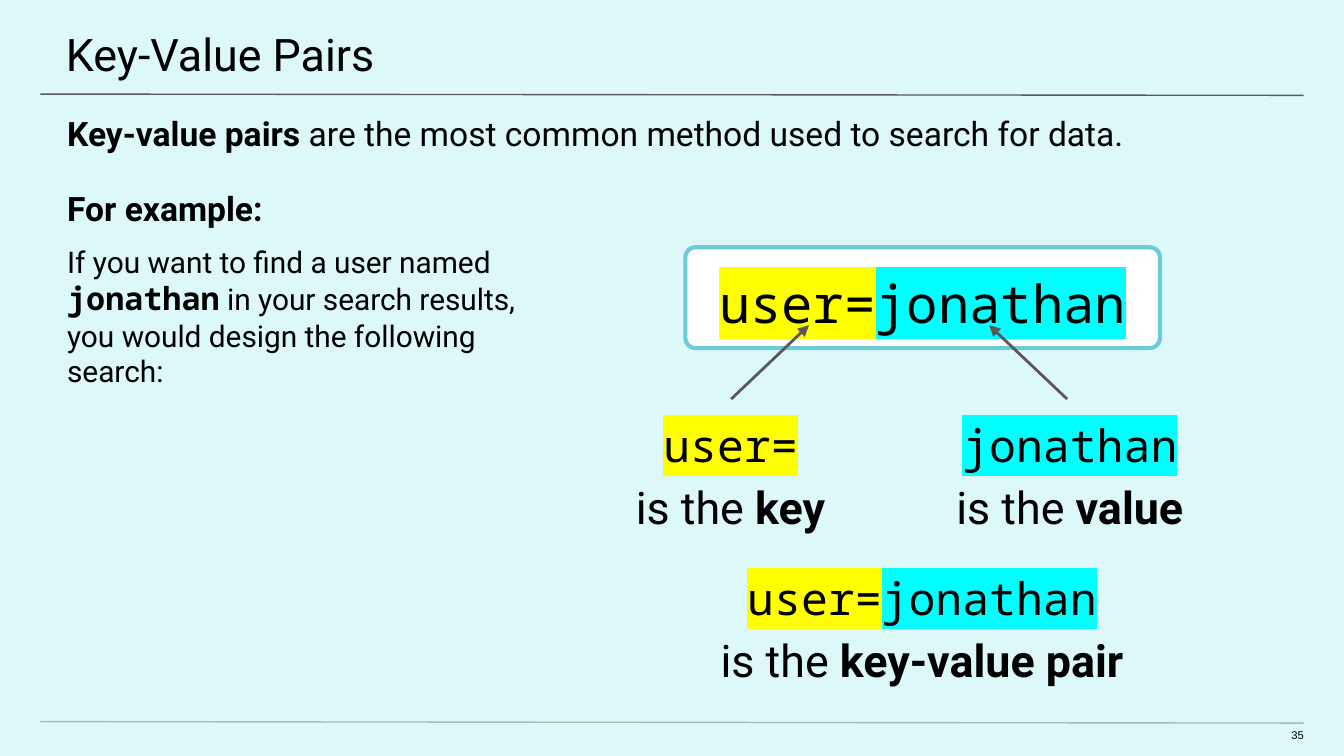
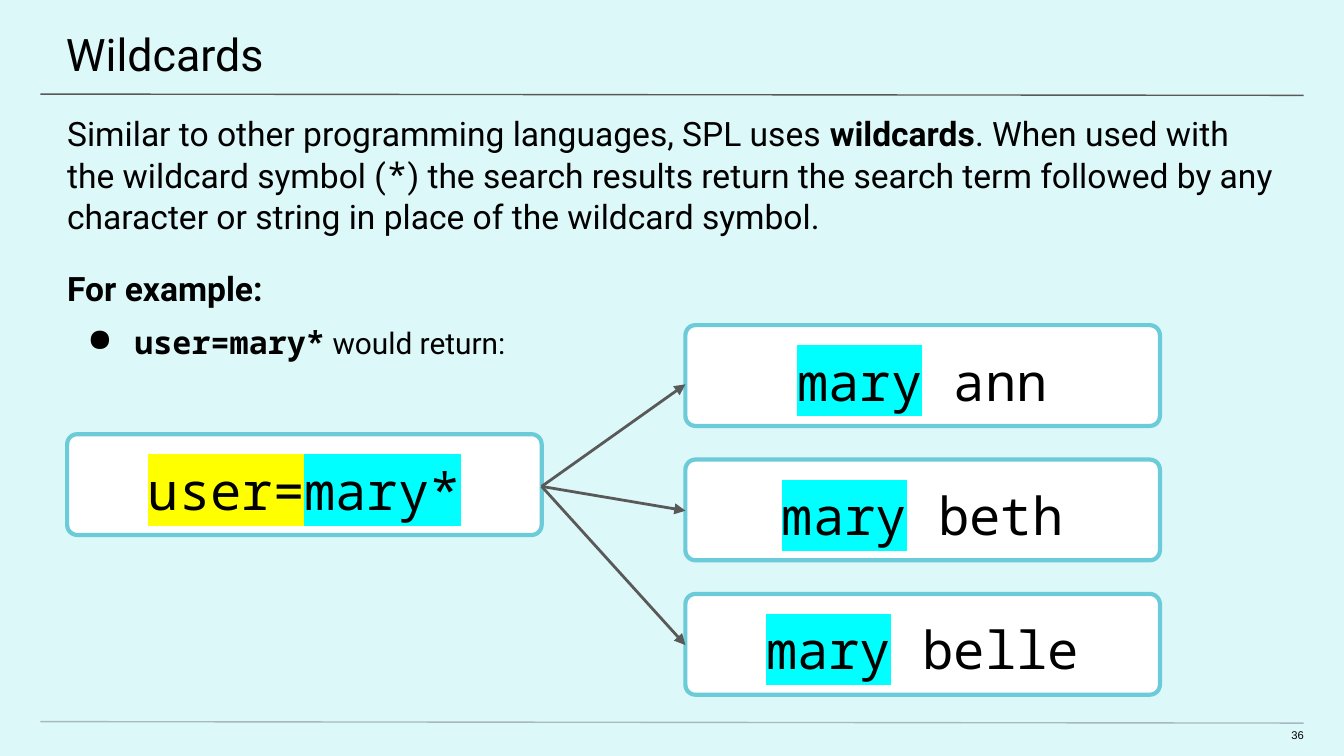
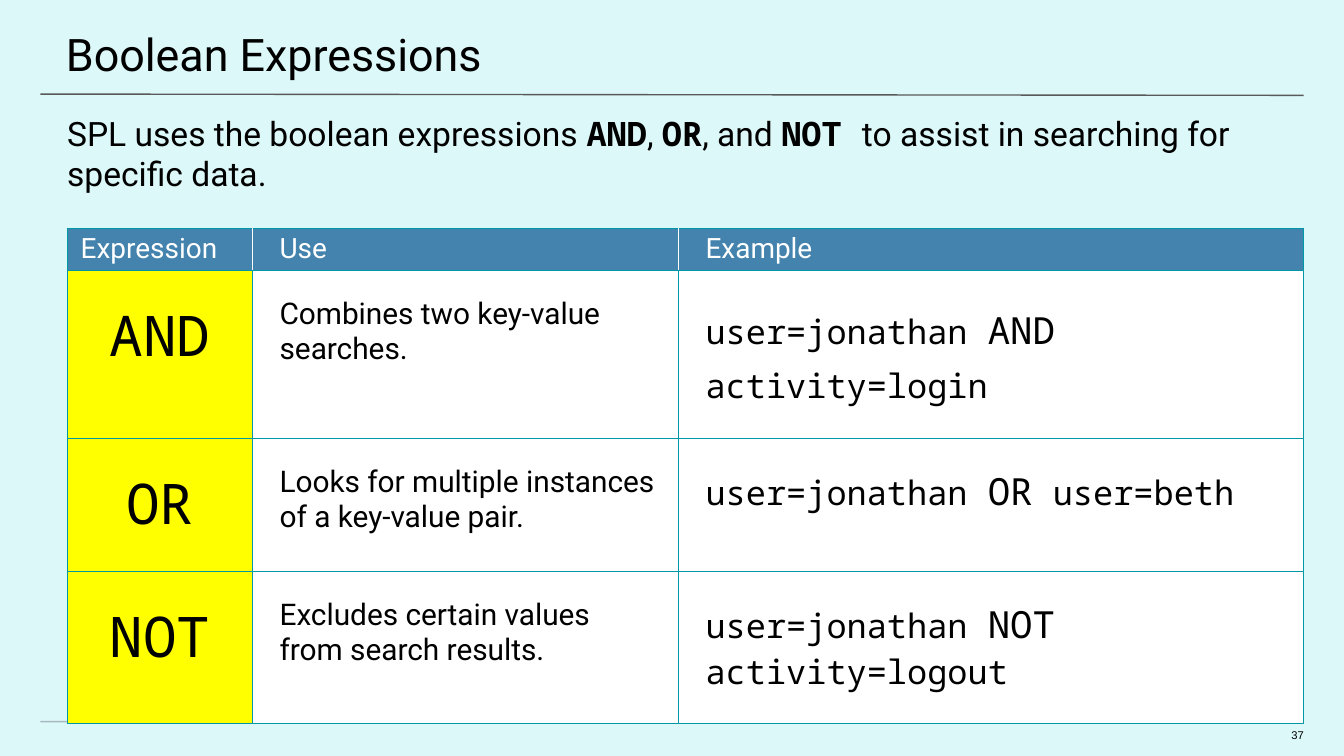
from lxml.etree import SubElement
from pptx import Presentation
from pptx.dml.color import RGBColor
from pptx.enum.shapes import MSO_CONNECTOR, MSO_SHAPE
from pptx.enum.text import MSO_ANCHOR, PP_ALIGN
from pptx.oxml import parse_xml
from pptx.oxml.ns import nsdecls, qn
from pptx.util import Pt

BLACK = RGBColor(0x00, 0x00, 0x00)
WHITE = RGBColor(0xFF, 0xFF, 0xFF)
PALE_CYAN = RGBColor(0xDC, 0xF8, 0xF9)
GRAY = RGBColor(0x59, 0x59, 0x59)
FOOTER_GRAY = RGBColor(0xA9, 0xB7, 0xC0)
CARD_EDGE = RGBColor(0x6B, 0xCB, 0xD8)
TEAL = RGBColor(0x00, 0x97, 0xA7)
HEADER_BLUE = RGBColor(0x43, 0x83, 0xAD)
YELLOW = RGBColor(0xFF, 0xFF, 0x00)
AQUA = RGBColor(0x00, 0xFF, 0xFF)

CENTERED = {"alignment": PP_ALIGN.CENTER, "line_spacing": 1.15}
BODY_INSETS = (36, 0, 36, 0)
CARD_WIDTH, CARD_HEIGHT, CARD_COLUMN = 254.2, 54, 367.2


def sans(text, size=18, bold=False, color=BLACK, name="Roboto"):
    """Describe a span of proportional text."""
    return text, {"size": Pt(size), "bold": bold, "name": name}, color, None


def mono(text, size=18, bold=False, highlight=None):
    """Describe a span of code text."""
    return text, {"size": Pt(size), "bold": bold, "name": "Noto Sans Mono"}, BLACK, highlight


def apply_format(target, values):
    """Set each named attribute on the target."""
    for name, value in values.items():
        setattr(target, name, value)


def add_span(para, text, values, color, highlight):
    """Add one formatted span, turning newlines into line breaks."""
    for index, piece in enumerate(text.split("\n")):
        if index:
            para.add_line_break()
        if not piece:
            continue
        span = para.add_run()
        span.text = piece
        apply_format(span.font, values)
        span.font.color.rgb = color
        if highlight is not None:
            span.font.fill._xPr.find(qn("a:solidFill")).addnext(parse_xml(
                f'<a:highlight {nsdecls("a")}><a:srgbClr val="{highlight}"/></a:highlight>'))


def add_bullet(para):
    """Give a paragraph a hanging round bullet."""
    props = para._p.get_or_add_pPr()
    props.set("marL", str(Pt(36)))
    props.set("indent", str(Pt(-25.2)))
    color = SubElement(props, qn("a:buClr"))
    SubElement(color, qn("a:srgbClr"), val=str(BLACK))
    SubElement(props, qn("a:buChar"), char="●")


def write(frame, paragraphs):
    """Fill a text frame from pairs of spans and paragraph formats."""
    for index, (spans, values) in enumerate(paragraphs):
        para = frame.add_paragraph() if index else frame.paragraphs[0]
        values = dict(values)
        bulleted = values.pop("bullet", False)
        apply_format(para, values)
        if bulleted:
            add_bullet(para)
        for span in spans:
            add_span(para, *span)


def set_insets(target, insets):
    """Set left, top, right and bottom margins."""
    sides = ("margin_left", "margin_top", "margin_right", "margin_bottom")
    apply_format(target, dict(zip(sides, map(Pt, insets))))


def add_text(page, place, insets, paragraphs):
    """Add a wrapped text box."""
    frame = page.shapes.add_textbox(*map(Pt, place)).text_frame
    frame.word_wrap = True
    set_insets(frame, insets)
    write(frame, paragraphs)


def add_line(page, start, end, color, width, arrow=False):
    """Add a straight line, with an arrowhead at its end if asked."""
    line = page.shapes.add_connector(MSO_CONNECTOR.STRAIGHT, *map(Pt, start + end))
    line.line.color.rgb = color
    line.line.width = Pt(width)
    if arrow:
        SubElement(line.line._get_or_add_ln(), qn("a:tailEnd"), type="triangle")
    SubElement(line._element.spPr, qn("a:effectLst"))


def add_arrow(page, start, tip):
    """Add a gray arrow."""
    add_line(page, start, tip, GRAY, 1.5, arrow=True)


def add_card(page, left, top, spans):
    """Add a white rounded card holding one search term."""
    card = page.shapes.add_shape(
        MSO_SHAPE.ROUNDED_RECTANGLE, *map(Pt, (left, top, CARD_WIDTH, CARD_HEIGHT)))
    card.adjustments[0] = 0.1
    card.shadow.inherit = False
    card.fill.solid()
    card.fill.fore_color.rgb = WHITE
    card.line.color.rgb = CARD_EDGE
    card.line.width = Pt(2.25)
    card.text_frame.word_wrap = True
    card.text_frame.vertical_anchor = MSO_ANCHOR.MIDDLE
    set_insets(card.text_frame, (7.2,) * 4)
    write(card.text_frame, [(spans, CENTERED)])


def add_page(deck, number, title, intro):
    """Add a page with its background, rules, title, intro and number."""
    page = deck.slides.add_slide(deck.slide_layouts[6])
    page.background.fill.solid()
    page.background.fill.fore_color.rgb = PALE_CYAN
    add_line(page, (21.6, 50.4), (698.4, 51.1), GRAY, 0.75)
    add_line(page, (21.6, 386.6), (698.4, 387.4), FOOTER_GRAY, 0.75)
    add_text(page, (-0.7, 0, 722, 41.8), (36, 14.4, 21.6, 7.2), [([sans(title, 24)], {})])
    add_text(page, (0, 53.3, 720, 28.8), (36, 7.2, 36, 0), [(intro, {})])
    add_text(page, (677.5, 390.2, 20.9, 8.6), (0, 0, 0, 0),
             [([sans(str(number), 6, name="Arial")], {"alignment": PP_ALIGN.RIGHT})])
    return page


def style_cell(cell, fill, insets, spans, values, edges):
    """Fill a table cell, with edges listed as left, right, top, bottom."""
    cell.fill.solid()
    cell.fill.fore_color.rgb = fill
    set_insets(cell, insets)
    write(cell.text_frame, [(spans, values)])
    props = cell._tc.get_or_add_tcPr()
    for index, (side, color) in enumerate(zip("LRTB", edges)):
        props.insert(index, parse_xml(
            f'<a:ln{side} {nsdecls("a")} w="{Pt(0.75)}"><a:solidFill>'
            f'<a:srgbClr val="{color}"/></a:solidFill></a:ln{side}>'))


def add_expression_table(page, headings, rows):
    """Add the table of boolean expressions."""
    widths, heights = (99.4, 228.2, 334.8), (22, 90, 71.2, 81.5)
    table = page.shapes.add_table(
        len(heights), len(widths), Pt(36), Pt(122.4), Pt(sum(widths)), Pt(sum(heights))).table
    table.first_row = table.horz_banding = False
    for column, width in zip(table.columns, widths):
        column.width = Pt(width)
    for row, height in zip(table.rows, heights):
        row.height = Pt(height)
    last = len(headings) - 1
    for index, heading in enumerate(headings):
        edges = (WHITE if index else TEAL, WHITE if index < last else TEAL, TEAL, TEAL)
        style_cell(table.cell(0, index), HEADER_BLUE, (14.4 if index else 7.2, 2.2, 7.2, 2.2),
                   [sans(heading, 15, color=WHITE)], {}, edges)
    for index, (operator, use, before, after, values) in enumerate(rows, 1):
        example = [mono(before), mono(operator, 20), mono(after)]
        columns = (
            (YELLOW, 7.2, 7.2, [mono(operator, 30)], {"alignment": PP_ALIGN.CENTER}),
            (WHITE, 14.4, 7.2, [sans(use, 16)], {}),
            (WHITE, 14.4, 14.4, example, values),
        )
        for column, (fill, left, right, spans, layout) in enumerate(columns):
            style_cell(table.cell(index, column), fill, (left, 14.4, right, 15.8),
                       spans, layout, (TEAL,) * 4)


def build_key_value_page(deck, number):
    """Build the page on key-value pairs."""
    page = add_page(deck, number, "Key-Value Pairs", [
        sans("Key-value pairs", bold=True),
        sans(" are the most common method used to search for data.")])
    add_text(page, (0, 100.8, 324, 95.8), BODY_INSETS, [
        ([sans("For example:", bold=True)], {}),
        ([sans("If you want to find a user named ", 16), mono("jonathan", 17, True),
          sans(" in your search results, you would design the following search:", 16)],
         {"space_before": Pt(8)})])
    add_card(page, CARD_COLUMN, 132.5,
             [mono("user=", 28, highlight=YELLOW), mono("jonathan", 28, highlight=AQUA)])
    key, value = mono("user=", 24, highlight=YELLOW), mono("jonathan", 24, highlight=AQUA)
    parts = (
        (303.1, 176.4, key, "key", (391.7, 213.8), (433.4, 174.2)),
        (473, 200.2, value, "value", (571.7, 213.8), (529.9, 174.2)),
    )
    for left, width, term, role, start, tip in parts:
        add_text(page, (left, 219.6, width, 59.8), BODY_INSETS, [
            ([term], CENTERED), ([sans("is the ", 24), sans(role, 24, True)], CENTERED)])
        add_arrow(page, start, tip)
    add_text(page, (308.9, 301.7, 370.1, 77.8), BODY_INSETS, [
        ([key, value, sans("\nis the ", 24), sans("key-value pair", 24, True)], CENTERED)])


def build_wildcard_page(deck, number):
    """Build the page on wildcards."""
    page = add_page(deck, number, "Wildcards", [
        sans("Similar to other programming languages, SPL uses "),
        sans("wildcards", bold=True),
        sans(". When used with the wildcard symbol ("), mono("*", 19),
        sans(") the search results return the search term followed by any character"
             " or string in place of the wildcard symbol.")])
    add_text(page, (0, 143.3, 355, 62.6), BODY_INSETS, [
        ([sans("For example:", bold=True)], {}),
        ([mono("user=mary*", 17, True), sans(" would return:", 16)],
         {"space_before": Pt(8), "bullet": True})])
    add_card(page, 36, 232.6,
             [mono("user=", 28, highlight=YELLOW), mono("mary*", 28, highlight=AQUA)])
    matches = ((" ann", 205.9), (" beth", 273.6), (" belle", 345.6))
    for index, (ending, tip) in enumerate(matches):
        add_card(page, CARD_COLUMN, 174.2 + 72 * index,
                 [mono("mary", 28, highlight=AQUA), mono(ending, 28)])
        add_arrow(page, (36 + CARD_WIDTH, 260.6), (CARD_COLUMN, tip))


def build_boolean_page(deck, number):
    """Build the page on boolean expressions."""
    page = add_page(deck, number, "Boolean Expressions", [
        sans("SPL uses the boolean expressions "), mono("AND", bold=True), sans(", "),
        mono("OR", bold=True), sans(", and "), mono("NOT ", bold=True),
        sans("to assist in searching for specific data.")])
    add_expression_table(page, ("Expression", "Use", "Example"), (
        ("AND", "Combines two key-value searches.",
         "user=jonathan ", " activity=login", {"line_spacing": 1.15}),
        ("OR", "Looks for multiple instances of a key-value pair.",
         "user=jonathan ", " user=beth", {}),
        ("NOT", "Excludes certain values \nfrom search results.",
         "user=jonathan ", " activity=logout", {}),
    ))


def main():
    """Build and save the deck."""
    deck = Presentation()
    deck.slide_width, deck.slide_height = Pt(720), Pt(405)
    builders = (build_key_value_page, build_wildcard_page, build_boolean_page)
    for number, build in enumerate(builders, 35):
        build(deck, number)
    deck.save("out.pptx")


if __name__ == "__main__":
    main()
